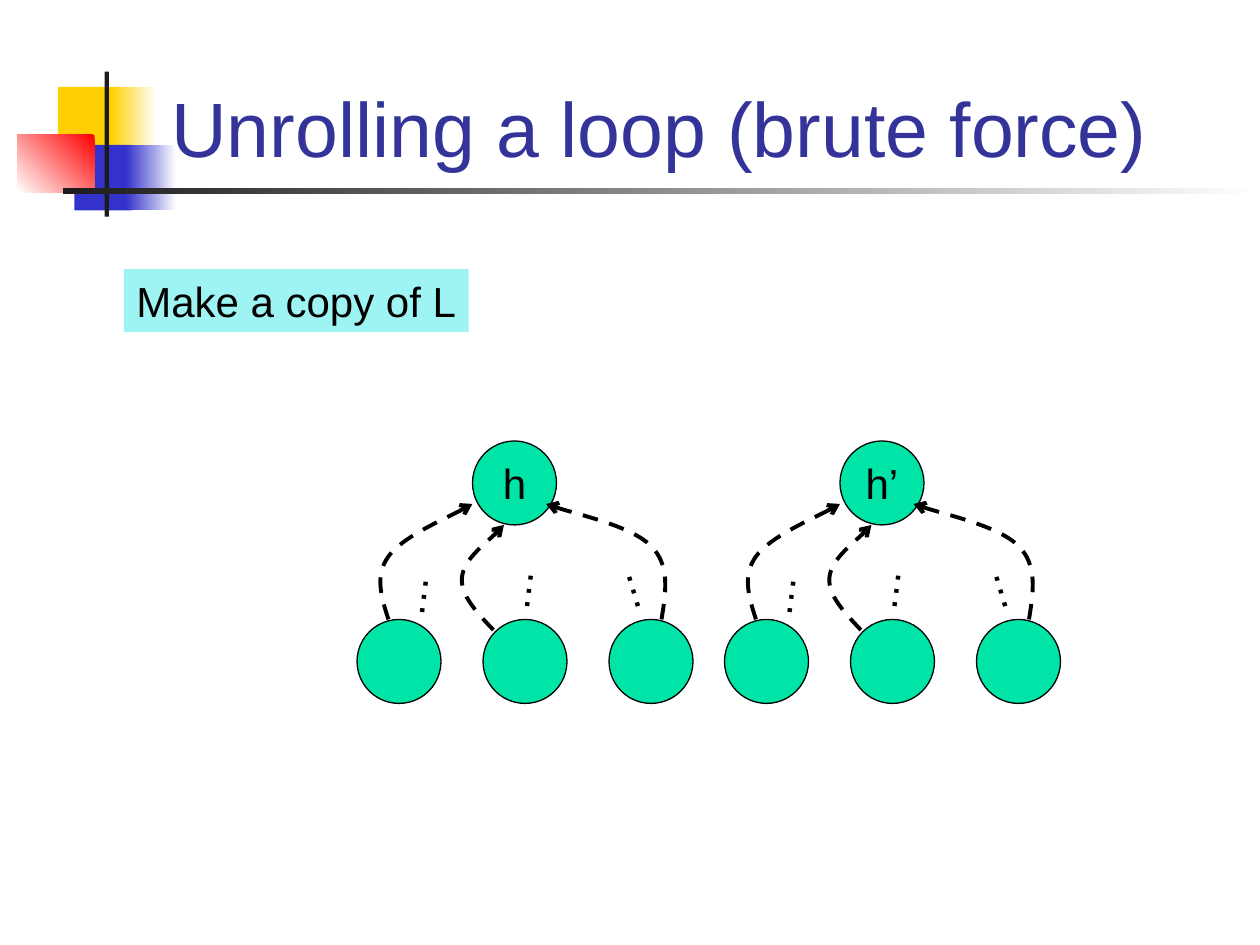
from dataclasses import dataclass
from typing import Any

from lxml.etree import SubElement
from pptx import Presentation
from pptx.dml.color import RGBColor
from pptx.enum.dml import MSO_LINE
from pptx.enum.shapes import MSO_SHAPE as Shape
from pptx.enum.text import MSO_ANCHOR as Anchor, MSO_AUTO_SIZE as AutoSize, PP_ALIGN as Align
from pptx.oxml.ns import qn
from pptx.util import Pt

COLORS = {
    "white": "FFFFFF",
    "black": "000000",
    "title": "333399",
    "yellow": "FFCF01",
    "blue": "3333CC",
    "red": "FF0000",
    "dark": "1C1C1C",
    "node": "00E4A8",
    "note": "9EF4F2",
}
NODE_SIZE = 48
LOOP_STEP = 210


@dataclass(frozen=True)
class Block:
    box: tuple[float, float, float, float]
    fill: tuple[str, ...]
    angle: float = 180


@dataclass(frozen=True)
class Dots:
    left: float
    top: float
    rotation: float


BLOCKS = (
    Block((33.1, 49.7, 34.6, 37.4), ("yellow",)),
    Block((63.4, 49.7, 25.9, 37.4), ("white", "yellow")),
    Block((42.5, 82.8, 33.1, 37.4), ("blue",)),
    Block((72, 82.8, 28.8, 37.4), ("white", "blue")),
    Block((10, 77, 44, 33.1), ("red", "white"), 225),
    Block((59.8, 41, 2.4, 82.8), ("dark",)),
    Block((36, 107.3, 684, 3.5), ("white", "dark")),
)
LEAF_LEFTS = (204, 276, 348)
BACK_EDGES = (
    ((222, 354), (218, 341.5), (214, 329), (222, 318), (230, 307), (262, 293), (270, 288)),
    ((282, 360), (272.5, 350), (263, 340), (264, 330), (265, 320), (284, 305), (288, 300)),
    ((378, 354), (380.5, 338.5), (383, 323), (372, 312), (361, 301), (322, 292), (312, 288)),
)
DOTS = (Dots(215, 322.5, 277.1), Dots(275, 319, 277.1), Dots(335, 322.5, 253.2))


def rgb(name: str) -> RGBColor:
    return RGBColor.from_string(COLORS[name])


def write_text(shape: Any, text: str, *, size: float = 24, color: str = "black",
               align: Align = Align.LEFT, anchor: Anchor = Anchor.TOP,
               wrap: bool = False, auto_size: AutoSize = AutoSize.NONE) -> None:
    tf = shape.text_frame
    tf.word_wrap, tf.auto_size, tf.vertical_anchor = wrap, auto_size, anchor
    p = tf.paragraphs[0]
    p.alignment = align
    r = p.add_run()
    r.text = text
    r.font.name, r.font.size = "Arial", Pt(size)
    r.font.color.rgb = rgb(color)


def add_block(shapes: Any, block: Block, kind: Shape = Shape.RECTANGLE) -> Any:
    sp = shapes.add_shape(kind, *map(Pt, block.box))
    sp.shadow.inherit = False
    sp.line.fill.background()
    if len(block.fill) == 1:
        sp.fill.solid()
        sp.fill.fore_color.rgb = rgb(block.fill[0])
    else:
        sp.fill.gradient()
        sp.fill.gradient_angle = block.angle
        for stop, name in zip(sp.fill.gradient_stops, block.fill):
            stop.color.rgb = rgb(name)
    return sp


def add_node(shapes: Any, left: float, top: float, label: str = "") -> None:
    sp = add_block(shapes, Block((left, top, NODE_SIZE, NODE_SIZE), ("node",)), Shape.OVAL)
    sp.line.color.rgb = rgb("black")
    sp.line.width = Pt(0.75)
    if label:
        write_text(sp, label, align=Align.CENTER, anchor=Anchor.MIDDLE)


def add_back_edge(shapes: Any, points: tuple[tuple[float, float], ...], dx: float) -> None:
    start, *rest = [(Pt(x + dx), Pt(y)) for x, y in points]
    builder = shapes.build_freeform(*start)
    builder.add_line_segments(rest, close=False)
    sp = builder.convert_to_shape()
    sp.shadow.inherit = False
    sp.fill.background()
    sp.line.color.rgb = rgb("black")
    sp.line.width = Pt(2.25)
    sp.line.dash_style = MSO_LINE.DASH
    SubElement(sp.line._get_or_add_ln(), qn("a:tailEnd"), type="arrow")
    path = next(sp.element.iter(qn("a:path")))
    segments = path.findall(qn("a:lnTo"))
    for i in range(0, len(segments), 3):
        curve = SubElement(path, qn("a:cubicBezTo"))
        for segment in segments[i:i + 3]:
            curve.append(segment[0])
            path.remove(segment)


def add_dots(shapes: Any, dots: Dots, dx: float) -> None:
    sp = shapes.add_textbox(Pt(dots.left + dx), Pt(dots.top), Pt(38.2), Pt(36))
    sp.rotation = dots.rotation
    write_text(sp, "…", auto_size=AutoSize.SHAPE_TO_FIT_TEXT)


def add_loop(shapes: Any, header: str, dx: float) -> None:
    add_node(shapes, 270 + dx, 252, header)
    for left in LEAF_LEFTS:
        add_node(shapes, left + dx, 354)
    for points in BACK_EDGES:
        add_back_edge(shapes, points, dx)
    for dots in DOTS:
        add_dots(shapes, dots, dx)


def main() -> None:
    prs = Presentation()
    prs.slide_width, prs.slide_height = Pt(720), Pt(540)
    slide = prs.slides.add_slide(prs.slide_layouts[5])
    shapes = slide.shapes
    for block in BLOCKS:
        add_block(shapes, block)

    title = shapes.title
    title.left, title.top, title.width, title.height = map(Pt, (90.7, 12.2, 613.4, 90))
    write_text(title, "Unrolling a loop (brute force)", size=44, color="title",
               anchor=Anchor.BOTTOM, wrap=True)
    title.element.getparent().append(title.element)

    add_loop(shapes, "h", 0)
    note = add_block(shapes, Block((70.8, 153.8, 197, 36), ("note",)))
    write_text(note, "Make a copy of L", auto_size=AutoSize.SHAPE_TO_FIT_TEXT)
    add_loop(shapes.add_group_shape().shapes, "h’", LOOP_STEP)
    prs.save("out.pptx")


if __name__ == "__main__":
    main()
